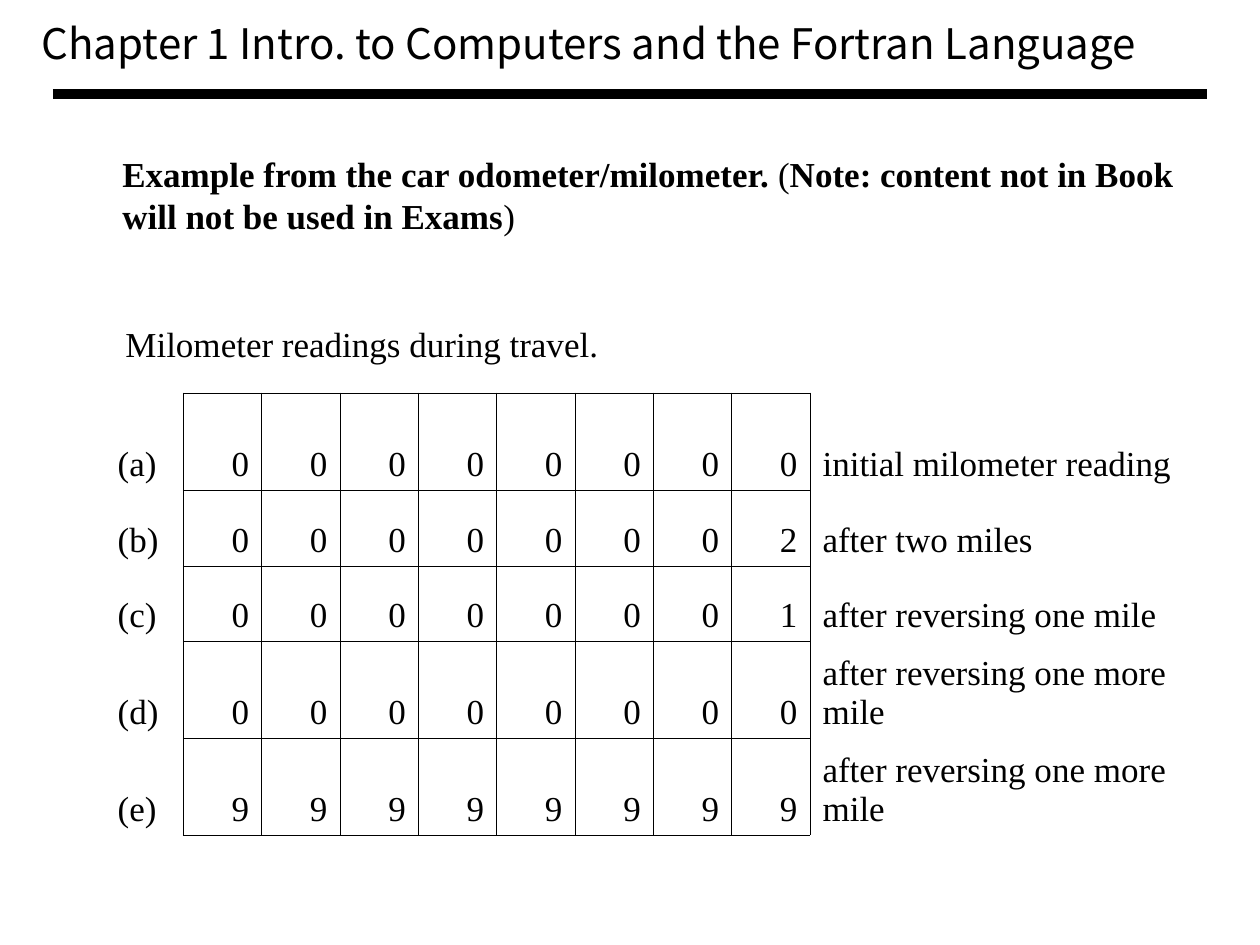
from lxml import etree
from pptx import Presentation
from pptx import util as u
from pptx.dml.color import RGBColor
from pptx.enum import shapes, text
from pptx.oxml import ns

COLORS = {"ink": "000000"}
SERIF = "Times New Roman"
TITLE = "Chapter 1 Intro. to Computers and the Fortran Language"
TITLE_BOX = (29, 11, 1147, 63)
RULE = (53, 94, 1207, 94)
NOTES = [
    ((110, 146, 1086, 97), True, [
        ("Example from the car odometer/milometer. ", True),
        ("(", False),
        ("Note: content not in Book will not be used in Exams", True),
        (")", False),
    ]),
    ((113, 316, 498, 55), False, [("Milometer readings during travel.", False)]),
]
READINGS = [
    ("(a)", "00000000", "initial milometer reading", 97),
    ("(b)", "00000002", "after two miles", 76),
    ("(c)", "00000001", "after reversing one mile", 75),
    ("(d)", "00000000", "after reversing one more mile", 97),
    ("(e)", "99999999", "after reversing one more mile", 97),
]
TABLE_LEFT, TABLE_TOP = 105, 393
GRID_W, REMARK_W = 705, 415
DIGITS = 8
NO_STYLE = "{2D5ABB26-0587-4C30-8999-92F81FD0307C}"


def px(n):
    return round(n * 914400 / 126)


def assign(obj, values):
    for name, value in values.items():
        setattr(obj, name, value)


def write(p, words, size=20, font=SERIF, bold=False):
    r = p.add_run()
    r.text = words
    assign(r.font, {"size": u.Pt(size), "name": font, "bold": bold})
    r.font.color.rgb = RGBColor.from_string(COLORS["ink"])


def frame(tf, wrap):
    assign(tf, {"word_wrap": wrap, "auto_size": text.MSO_AUTO_SIZE.NONE,
                "vertical_anchor": text.MSO_ANCHOR.MIDDLE})
    p = tf.paragraphs[0]
    p.alignment = text.PP_ALIGN.LEFT
    return p


def border(cell, sides):
    tc_pr = cell._tc.get_or_add_tcPr()
    for side in sides:
        ln = etree.SubElement(tc_pr, ns.qn("a:ln" + side), w=str(u.Pt(0.45)))
        fill = etree.SubElement(ln, ns.qn("a:solidFill"))
        etree.SubElement(fill, ns.qn("a:srgbClr"), val=COLORS["ink"])


def add_title(s):
    sp = s.shapes.title
    assign(sp, dict(zip(("left", "top", "width", "height"), map(px, TITLE_BOX))))
    write(frame(sp.text_frame, False), TITLE, 24, "Noto Sans CJK TC")


def add_rule(s):
    line = s.shapes.add_connector(shapes.MSO_CONNECTOR.STRAIGHT, *map(px, RULE))
    line.line.width = u.Pt(5.5)
    line.line.color.rgb = RGBColor.from_string(COLORS["ink"])
    etree.SubElement(line._element.spPr, ns.qn("a:effectLst"))


def add_notes(s):
    for box, wrap, runs in NOTES:
        p = frame(s.shapes.add_textbox(*map(px, box)).text_frame, wrap)
        for words, bold in runs:
            write(p, words, bold=bold)


def add_readings(s):
    height = sum(row[3] for row in READINGS)
    sp = s.shapes.add_table(len(READINGS), DIGITS + 2, px(TABLE_LEFT), px(TABLE_TOP),
                            px(GRID_W + REMARK_W), px(height))
    table = sp.table
    assign(table, {"first_row": False, "horz_banding": False})
    table._tbl.tblPr.find(ns.qn("a:tableStyleId")).text = NO_STYLE
    for c, col in enumerate(table.columns):
        col.width = px(GRID_W / (DIGITS + 1) if c <= DIGITS else REMARK_W)
    for i, (label, digits, remark, row_h) in enumerate(READINGS):
        table.rows[i].height = px(row_h)
        for c, words in enumerate([label, *digits, remark]):
            is_digit = 1 <= c <= DIGITS
            cell = table.cell(i, c)
            border(cell, "LRTB" if is_digit else "R" if c == 0 else "L")
            cell.fill.background()
            cell.vertical_anchor = text.MSO_ANCHOR.BOTTOM
            p = cell.text_frame.paragraphs[0]
            p.alignment = text.PP_ALIGN.RIGHT if is_digit else text.PP_ALIGN.LEFT
            write(p, words)


def main():
    prs = Presentation()
    assign(prs, {"slide_width": px(1260), "slide_height": px(945)})
    s = prs.slides.add_slide(prs.slide_layouts[5])
    add_rule(s)
    add_title(s)
    add_notes(s)
    add_readings(s)
    prs.save("out.pptx")


if __name__ == "__main__":
    main()
